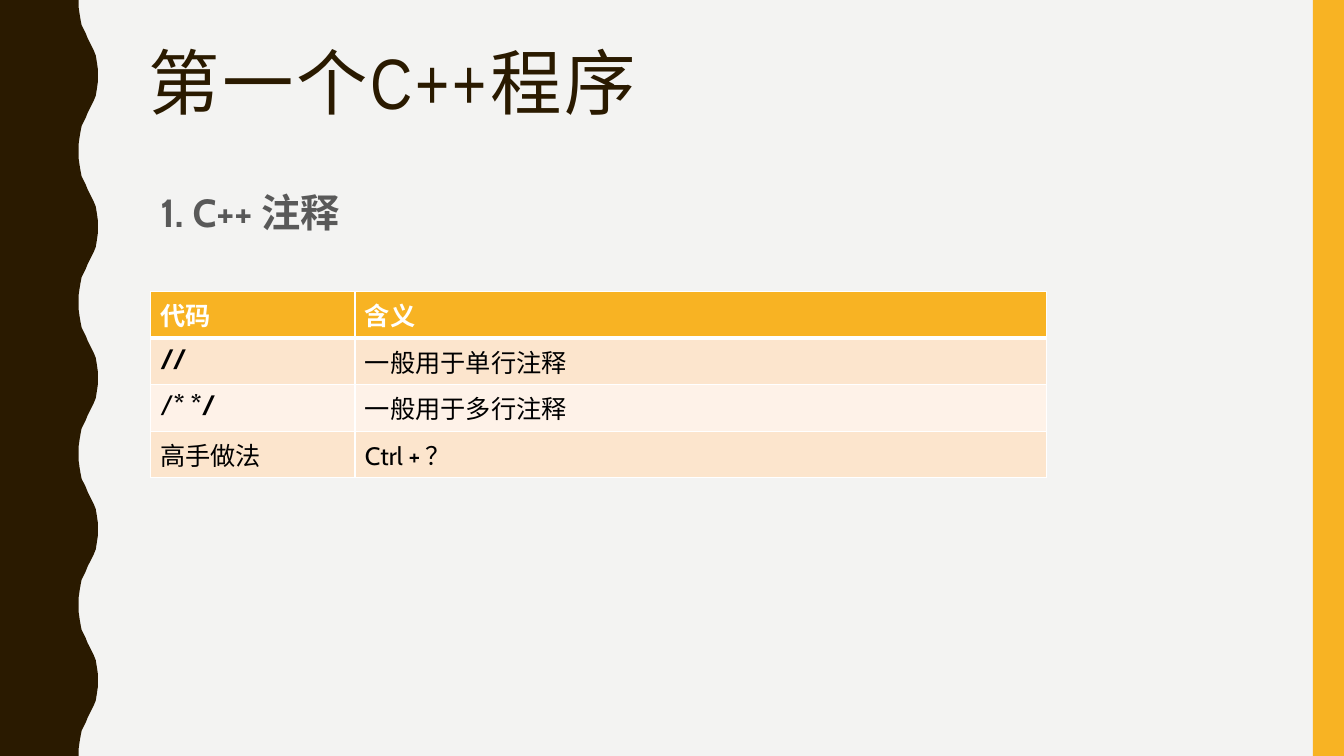
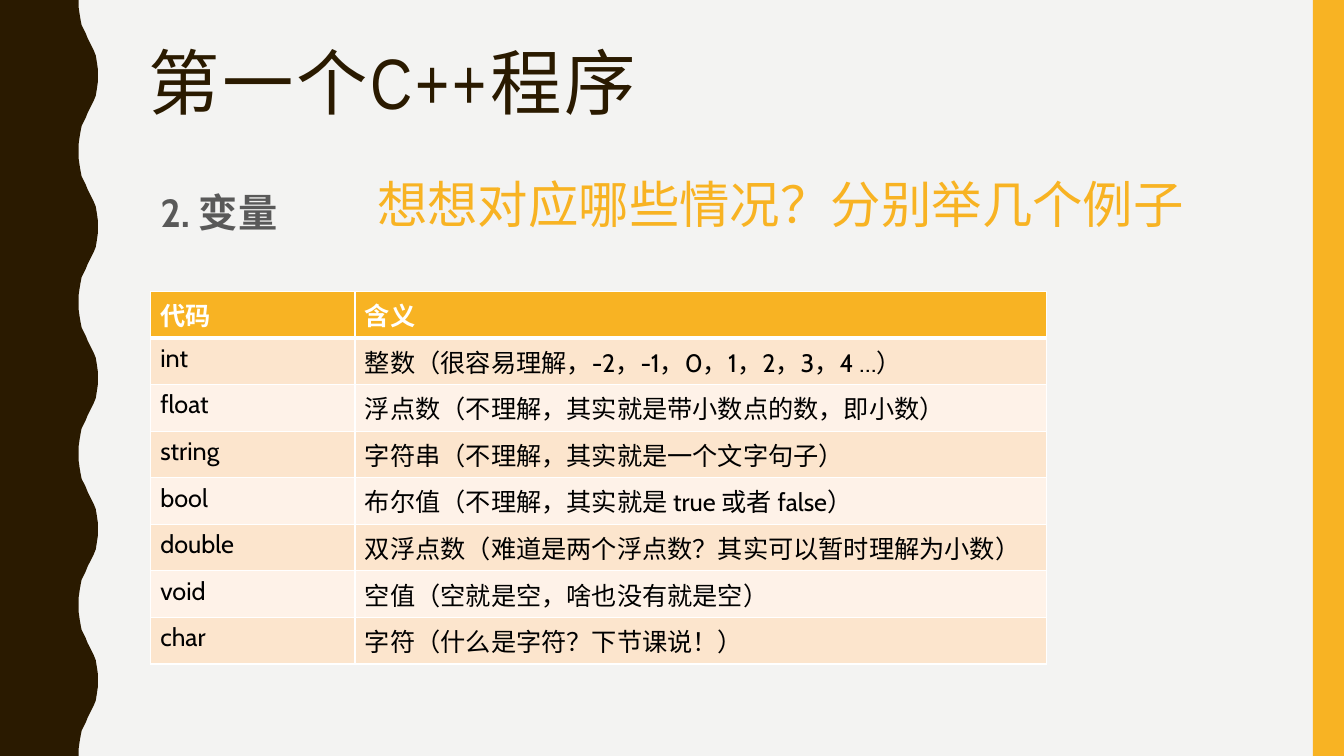
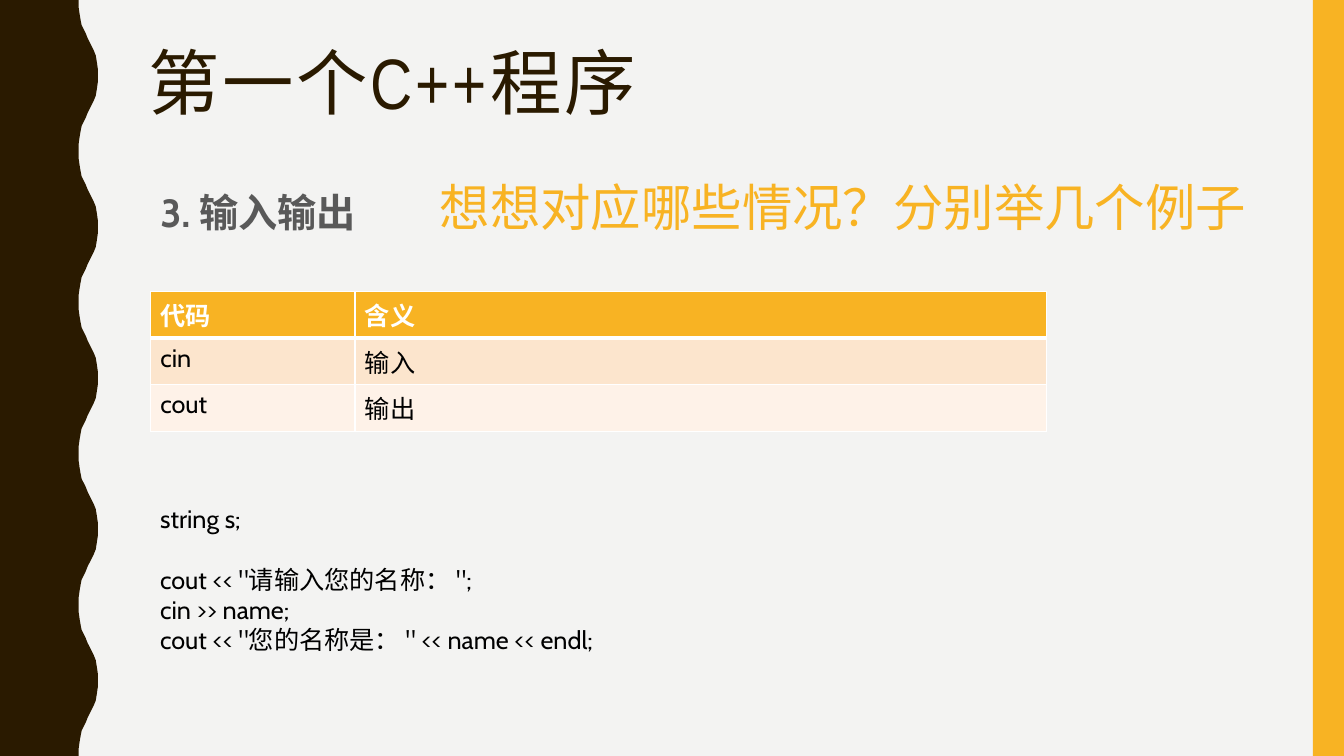
from dataclasses import dataclass

from lxml.etree import SubElement
from pptx import Presentation
from pptx.dml.color import RGBColor
from pptx.enum.shapes import MSO_SHAPE as Preset
from pptx.enum.text import MSO_ANCHOR as Anchor, MSO_AUTO_SIZE as AutoSize, PP_ALIGN as Align
from pptx.oxml.ns import qn
from pptx.util import Inches, Pt


@dataclass(frozen=True)
class Theme:
    """Colours, fonts and type sizes of the deck."""
    background: str = "F3F3F2"
    dark: str = "2A1A00"
    accent: str = "F8B323"
    heading: str = "595959"
    text: str = "000000"
    white: str = "FFFFFF"
    bands: tuple = ("FCE5CD", "FEF2E8")
    title_font: str = "Arial Narrow"
    body_font: str = "Cabin"
    title_size: int = 51
    hint_size: int = 36
    heading_size: int = 28
    text_size: int = 18


THEME = Theme()
WIDTH, HEIGHT = 13.33, 7.5
WAVE_PERIOD, WAVE_COUNT = 1.5, 5
WAVE_RISE = [(0.78, 0), (0.78, 0.07), (0.79, 0.14), (0.8, 0.2), (0.81, 0.25),
             (0.83, 0.29), (0.85, 0.33), (0.87, 0.38), (0.89, 0.42), (0.91, 0.46),
             (0.93, 0.5), (0.95, 0.55), (0.96, 0.61), (0.97, 0.68)]


def write(paragraph, text, size=THEME.text_size, color=THEME.text, font=THEME.body_font,
          bold=False, spacing=None, align=None, line=None, before=None):
    """Add a formatted run to a paragraph."""
    run = paragraph.add_run()
    run.text = text
    run.font.size = Pt(size)
    run.font.name = font
    run.font.bold = bold
    run.font.color.rgb = RGBColor.from_string(color)
    if spacing is not None:
        run.font._element.set("spc", str(spacing * 100))
    if align is not None:
        paragraph.alignment = align
    if line is not None:
        paragraph.line_spacing = line
    if before is not None:
        paragraph.space_before = Pt(before)


def paint(shape, color):
    """Give a shape a plain fill without line or shadow."""
    shape.shadow.inherit = False
    shape.fill.solid()
    shape.fill.fore_color.rgb = RGBColor.from_string(color)
    shape.line.fill.background()


class Deck:
    """Builds slides in one style and keeps the current slide."""

    def __init__(self):
        """Open a wide presentation with its shared background."""
        self.presentation = Presentation()
        self.presentation.slide_width = Inches(WIDTH)
        self.presentation.slide_height = Inches(HEIGHT)
        self.layout = self.presentation.slide_layouts[1]
        fill = self.presentation.slide_master.background.fill
        fill.solid()
        fill.fore_color.rgb = RGBColor.from_string(THEME.background)
        self.slide = None

    def add_slide(self, title, heading):
        """Start a slide with its title and section heading."""
        first = self.slide is None
        self.slide = self.presentation.slides.add_slide(self.layout)
        if first:
            self.add_bands()
        paragraph = self.place(self.slide.shapes.title, 1.37, 0.42, 11.13, 1.63)
        write(paragraph, title, size=THEME.title_size, color=THEME.dark,
              font=THEME.title_font, spacing=2, align=Align.LEFT, line=0.9)
        paragraph = self.place(self.slide.placeholders[1], 1.49, 1.77, 11.01, 5.62)
        properties = paragraph._p.get_or_add_pPr()
        properties.set("marL", "0")
        properties.set("indent", "0")
        write(paragraph, heading, size=THEME.heading_size, color=THEME.heading,
              bold=True, line=1.1, before=7)
        SubElement(properties, qn("a:buNone"))

    def place(self, shape, left, top, width, height):
        """Move a placeholder and return its first paragraph."""
        shape.left, shape.top = Inches(left), Inches(top)
        shape.width, shape.height = Inches(width), Inches(height)
        frame = shape.text_frame
        frame.vertical_anchor = Anchor.TOP
        frame.auto_size = AutoSize.NONE
        return frame.paragraphs[0]

    def add_bands(self):
        """Draw the wavy and straight side bands and hand them to the layout."""
        shapes = self.slide.shapes
        wave = WAVE_RISE + [(0.97, WAVE_PERIOD / 2)]
        wave += [(x, WAVE_PERIOD - y) for x, y in reversed(WAVE_RISE)]
        edge = [(x, y + number * WAVE_PERIOD) for number in range(WAVE_COUNT) for x, y in wave]
        builder = shapes.build_freeform(0, 0)
        builder.add_line_segments([(Inches(x), Inches(y)) for x, y in edge + [(0, HEIGHT)]])
        wavy_band = builder.convert_to_shape()
        side_band = shapes.add_shape(Preset.RECTANGLE, Inches(13.02), 0,
                                     Inches(0.31), Inches(HEIGHT))
        for index, (band, color) in enumerate([(wavy_band, THEME.dark),
                                               (side_band, THEME.accent)]):
            paint(band, color)
            self.layout.shapes._spTree.insert(2 + index, band._element)

    def add_table(self, rows):
        """Add a code table; a cell is a text or a list of text and bold pairs."""
        rows = [("代码", "含义"), *rows]
        row_height, column_widths = 0.41, (2.03, 6.86)
        frame = self.slide.shapes.add_table(
            len(rows), len(column_widths), Inches(1.49), Inches(2.89),
            Inches(sum(column_widths)), Inches(row_height * len(rows)))
        table = frame.table
        for column, width in zip(table.columns, column_widths):
            column.width = Inches(width)
        for row_index, row in enumerate(rows):
            header = row_index == 0
            fill = THEME.accent if header else THEME.bands[(row_index - 1) % 2]
            for column_index, content in enumerate(row):
                cell = table.cell(row_index, column_index)
                self.border(cell, top=3 if row_index == 1 else 1, bottom=3 if header else 1)
                cell.fill.solid()
                cell.fill.fore_color.rgb = RGBColor.from_string(fill)
                parts = [(content, header)] if isinstance(content, str) else content
                for text, bold in parts:
                    write(cell.text_frame.paragraphs[0], text, bold=bold,
                          color=THEME.white if header else THEME.text)

    def border(self, cell, top, bottom):
        """Draw white borders around a table cell."""
        properties = cell._tc.get_or_add_tcPr()
        for side, weight in (("L", 1), ("R", 1), ("T", top), ("B", bottom)):
            line = SubElement(properties, qn(f"a:ln{side}"), w=str(Pt(weight)))
            SubElement(SubElement(line, qn("a:solidFill")), qn("a:srgbClr"), val=THEME.white)

    def add_text_box(self, left, top, width, height, wrap=True):
        """Add an empty text box and return its frame."""
        shape = self.slide.shapes.add_textbox(Inches(left), Inches(top),
                                              Inches(width), Inches(height))
        frame = shape.text_frame
        frame.word_wrap = wrap
        frame.auto_size = AutoSize.SHAPE_TO_FIT_TEXT
        return frame

    def add_hint(self, text, left, top):
        """Add the large question beside the heading."""
        frame = self.add_text_box(left, top, 8.28, 0.71, wrap=False)
        write(frame.paragraphs[0], text, size=THEME.hint_size,
              color=THEME.accent, align=Align.CENTER)

    def add_code(self, blocks):
        """Add blocks of code lines with a gap between blocks."""
        frame = self.add_text_box(1.49, 4.94, 6.67, 1.62)
        paragraph = frame.paragraphs[0]
        for block_index, block in enumerate(blocks):
            for line_index, text in enumerate(block):
                if block_index or line_index:
                    paragraph = frame.add_paragraph()
                write(paragraph, text, before=22 if block_index and not line_index else 0)


def main():
    """Build and save the three slides."""
    title = "第一个C++程序"
    hint = "想想对应哪些情况？分别举几个例子"
    deck = Deck()

    deck.add_slide(title, "1. C++ 注释")
    deck.add_table([
        ([("//", True)], "一般用于单行注释"),
        ([("/", False), ("* */", True)], "一般用于多行注释"),
        ("高手做法", "Ctrl + ？"),
    ])

    deck.add_slide(title, "2. 变量")
    deck.add_table([
        ("int", "整数（很容易理解，-2，-1，0，1，2，3，4 …）"),
        ("float", "浮点数（不理解，其实就是带小数点的数，即小数）"),
        ("string", "字符串（不理解，其实就是一个文字句子）"),
        ("bool", "布尔值（不理解，其实就是 true 或者 false）"),
        ("double", "双浮点数（难道是两个浮点数？其实可以暂时理解为小数）"),
        ("void", "空值（空就是空，啥也没有就是空）"),
        ("char", "字符（什么是字符？下节课说！）"),
    ])
    deck.add_hint(hint, 3.6, 1.67)

    deck.add_slide(title, "3. 输入输出")
    deck.add_table([("cin", "输入"), ("cout", "输出")])
    deck.add_hint(hint, 4.22, 1.7)
    deck.add_code([
        ["string s;"],
        ['cout << "请输入您的名称： ";', "cin >> name;",
         'cout << "您的名称是： " << name << endl;'],
    ])

    deck.presentation.save("out.pptx")


if __name__ == "__main__":
    main()
